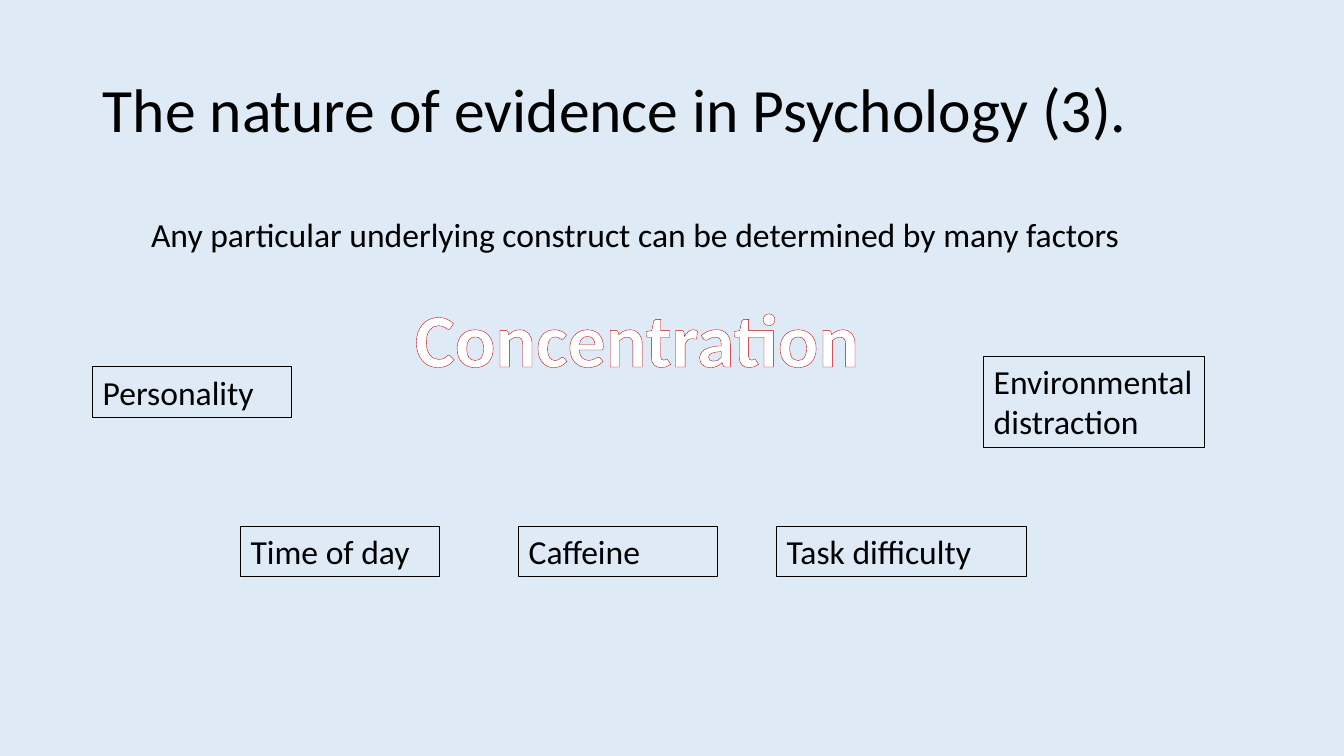
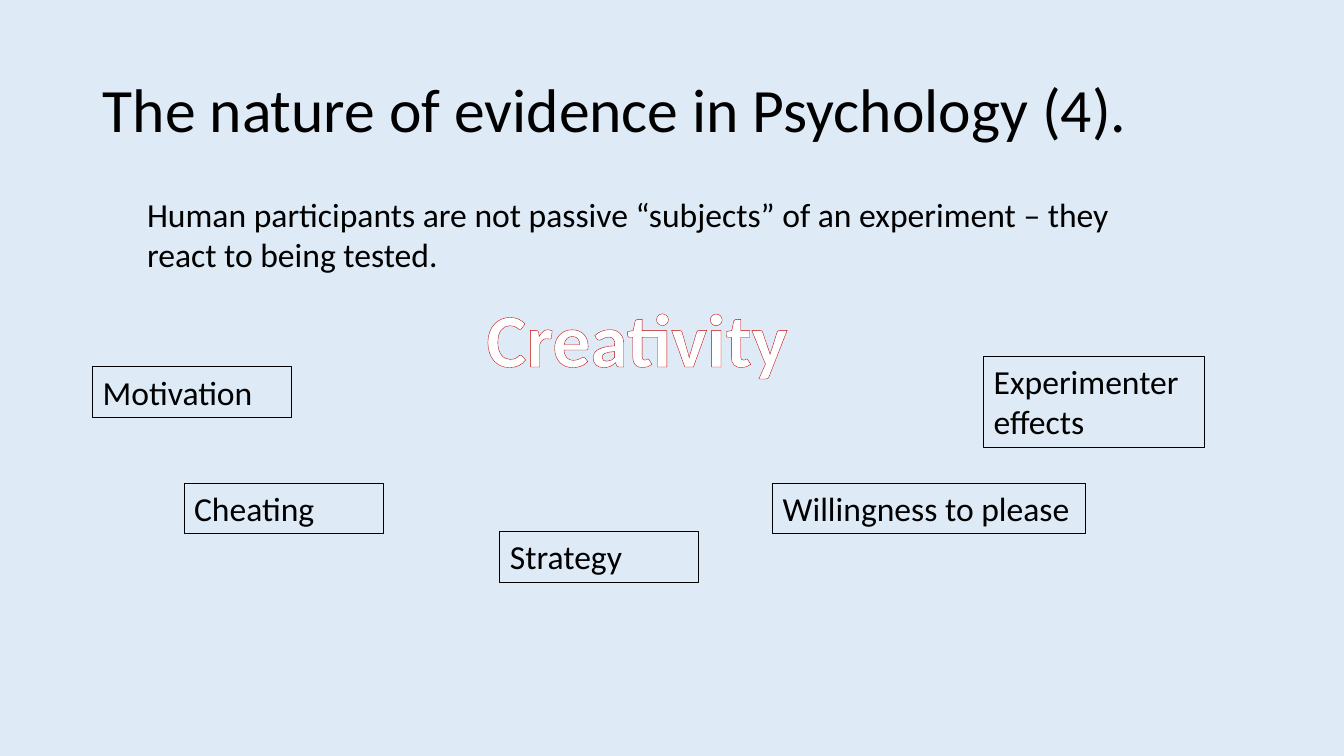
from lxml import etree
from pptx import Presentation
from pptx import util as u
from pptx.dml.color import RGBColor
from pptx.enum import shapes, text
from pptx.oxml import ns

PALE_BLUE = RGBColor(0xDE, 0xEB, 0xF7)
BLACK = RGBColor(0, 0, 0)
WHITE = RGBColor(0xFF, 0xFF, 0xFF)
DARK_RED = RGBColor(0xC0, 0, 0)
FONT = "Calibri"
WIDTH, HEIGHT = u.Inches(13.33), u.Inches(7.5)
ONE_LINE, TWO_LINES = 0.067, 0.121
FACTOR_WIDTH, SIDE_WIDTH = 0.148, 0.164
LEFT_MARGIN, SIDE_LEFT = 0.069, 0.732
STATEMENT_MIDDLE, STATEMENT_WIDTH = 0.31, 0.769
CONSTRUCT_MIDDLE = 0.474

CONTENT = [
    {
        "title": "The nature of evidence in Psychology (3).",
        "construct": ("Concentration", 0.35),
        "statement": ("Any particular underlying construct can be determined by many factors",
                      0.105, ONE_LINE),
        "factors": [
            ("Personality", LEFT_MARGIN, 0.485, FACTOR_WIDTH, ONE_LINE),
            ("Time of day", 0.179, 0.696, FACTOR_WIDTH, ONE_LINE),
            ("Caffeine", 0.386, 0.696, FACTOR_WIDTH, ONE_LINE),
            ("Environmental distraction", SIDE_LEFT, 0.471, SIDE_WIDTH, TWO_LINES),
            ("Task difficulty", 0.578, 0.696, 0.186, ONE_LINE),
        ],
    },
    {
        "title": "The nature of evidence in Psychology (4).",
        "construct": ("Creativity", 0.242),
        "statement": ("Human participants are not passive “subjects” of an experiment – they "
                      "react to being tested.", 0.102, TWO_LINES),
        "factors": [
            ("Motivation", LEFT_MARGIN, 0.485, FACTOR_WIDTH, ONE_LINE),
            ("Cheating", 0.137, 0.639, FACTOR_WIDTH, ONE_LINE),
            ("Strategy", 0.372, 0.703, FACTOR_WIDTH, ONE_LINE),
            ("Experimenter effects", SIDE_LEFT, 0.471, SIDE_WIDTH, TWO_LINES),
            ("Willingness to please", 0.575, 0.639, 0.233, ONE_LINE),
        ],
    },
]


def area(left, top, width, height):
    return (int(WIDTH * left), int(HEIGHT * top),
            int(WIDTH * width), int(HEIGHT * height))


def write(frame, words, size=24, color=BLACK, bold=False, align=text.PP_ALIGN.LEFT):
    paragraph = frame.paragraphs[0]
    paragraph.alignment = align
    run = paragraph.add_run()
    run.text = words
    run.font.name = FONT
    run.font.size = u.Pt(size)
    run.font.bold = bold
    run.font.color.rgb = color
    return run


def style_layout(layout):
    fill = layout.slide_master.background.fill
    fill.solid()
    fill.fore_color.rgb = PALE_BLUE
    heading = layout.placeholders[0]
    heading.left, heading.top, heading.width, heading.height = area(
        LEFT_MARGIN, 0.053, 0.863, 0.193)
    heading.text_frame.vertical_anchor = text.MSO_ANCHOR.MIDDLE


def add_title(slide, words):
    frame = slide.shapes.title.text_frame
    write(frame, words, size=44)
    frame.paragraphs[0].line_spacing = 0.9


def add_construct(slide, words, width):
    left = CONSTRUCT_MIDDLE - width / 2
    frame = slide.shapes.add_textbox(*area(left, 0.379, width, 0.135)).text_frame
    frame.word_wrap = False
    run = write(frame, words, 54, WHITE, True, text.PP_ALIGN.CENTER)
    outline = etree.Element(ns.qn("a:ln"), w=str(u.Pt(3)))
    paint = etree.SubElement(outline, ns.qn("a:solidFill"))
    etree.SubElement(paint, ns.qn("a:srgbClr"), val=str(DARK_RED))
    run.font.fill._xPr.insert(0, outline)


def add_statement(slide, words, left, height):
    top = STATEMENT_MIDDLE - height / 2
    frame = slide.shapes.add_textbox(
        *area(left, top, STATEMENT_WIDTH, height)).text_frame
    frame.word_wrap = True
    write(frame, words)


def add_factor(slide, words, *place):
    factor = slide.shapes.add_shape(shapes.MSO_SHAPE.RECTANGLE, *area(*place))
    factor.shadow.inherit = False
    factor.fill.background()
    factor.line.color.rgb = BLACK
    factor.line.width = u.Pt(0.75)
    frame = factor.text_frame
    frame.word_wrap = True
    frame.vertical_anchor = text.MSO_ANCHOR.TOP
    write(frame, words)


def main():
    deck = Presentation()
    deck.slide_width, deck.slide_height = WIDTH, HEIGHT
    title_only = deck.slide_layouts[5]
    style_layout(title_only)
    for topic in CONTENT:
        slide = deck.slides.add_slide(title_only)
        add_title(slide, topic["title"])
        add_construct(slide, *topic["construct"])
        for factor in topic["factors"]:
            add_factor(slide, *factor)
        add_statement(slide, *topic["statement"])
    deck.save("out.pptx")


if __name__ == "__main__":
    main()
